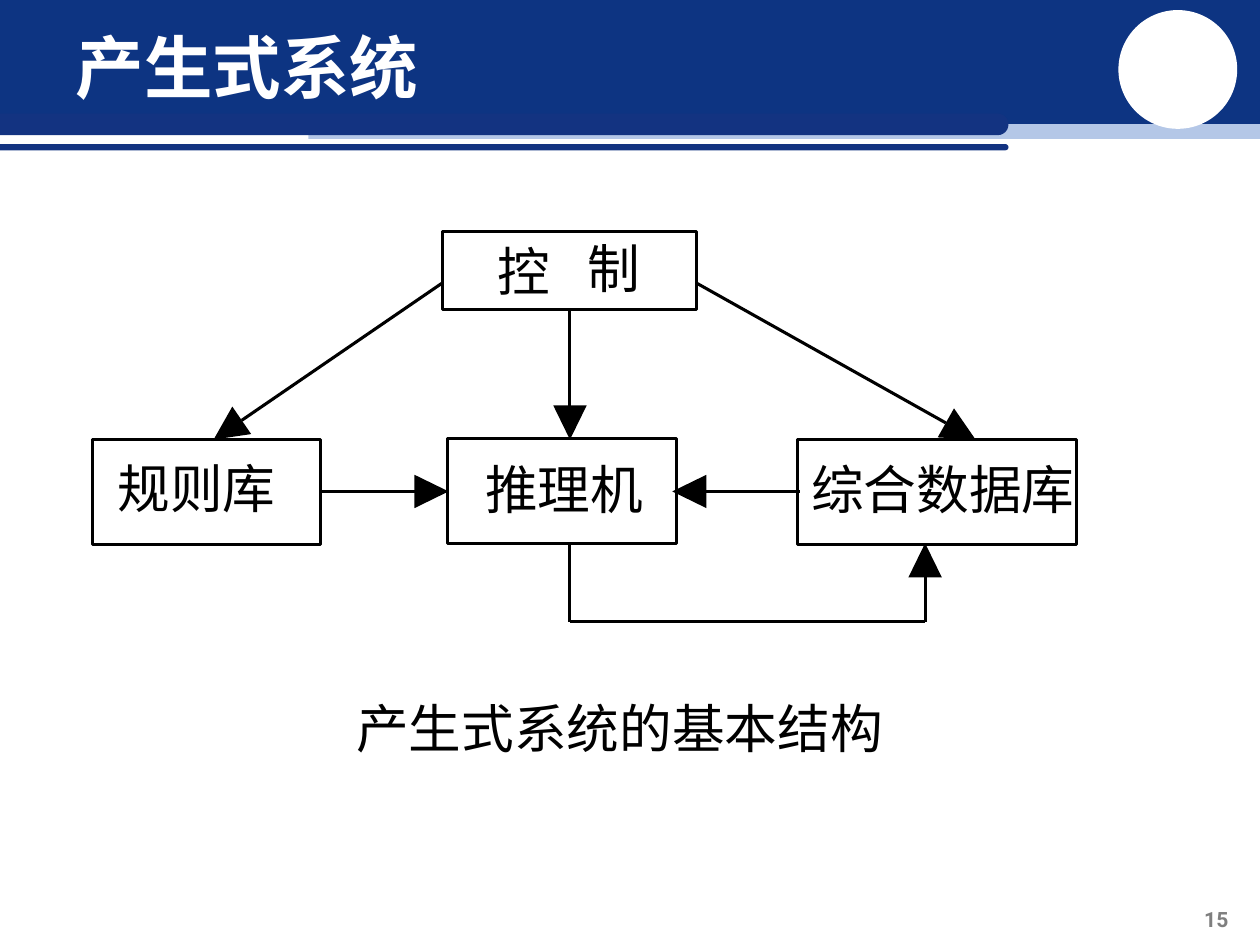
"""Builds the slide on the basic structure of a production system."""
from dataclasses import dataclass
from itertools import pairwise
from math import hypot

from lxml.etree import SubElement
from pptx import Presentation
from pptx.dml.color import RGBColor
from pptx.enum.shapes import MSO_CONNECTOR, MSO_SHAPE
from pptx.enum.text import MSO_ANCHOR, PP_ALIGN
from pptx.oxml.ns import qn
from pptx.util import Inches, Pt


@dataclass(frozen=True)
class Theme:
    navy: str = "0D3482"
    trim: str = "133381"
    pale: str = "B4C7E7"
    paper: str = "FFFFFF"
    ink: str = "000000"
    muted: str = "7F7F7F"
    title_size: int = 39
    label_size: int = 30
    number_size: int = 12
    stroke: float = 1.75
    han_font: str = "Noto Sans CJK SC"
    number_font: str = "Roboto"


def grid(*cells):
    """Turns columns and rows of a tenth of an inch into lengths."""
    return [Inches(cell / 10) for cell in cells]


class Board:
    """Draws in one theme on one slide, measured in grid cells."""

    def __init__(self, slide, theme):
        self.shapes = slide.shapes
        self.theme = theme

    def paint(self, shape, color):
        shape.shadow.inherit = False
        shape.fill.solid()
        shape.fill.fore_color.rgb = RGBColor.from_string(color)
        shape.line.fill.background()

    def block(self, kind, left, top, width, height, color):
        block = self.shapes.add_shape(kind, *grid(left, top, width, height))
        self.paint(block, color)
        return block

    def rounded_bar(self, top, length, thickness):
        left = (length - thickness) / 2
        bar = self.block(MSO_SHAPE.ROUND_2_SAME_RECTANGLE, left, top - left,
                         thickness, length, self.theme.trim)
        bar.adjustments[0] = 0.5
        bar.rotation = 90

    def frame(self, left, top, width, height):
        frame = self.shapes.add_shape(MSO_SHAPE.RECTANGLE,
                                      *grid(left, top, width, height))
        frame.shadow.inherit = False
        frame.fill.background()
        self.ink_line(frame.line)

    def ink_line(self, line):
        line.color.rgb = RGBColor.from_string(self.theme.ink)
        line.width = Pt(self.theme.stroke)

    def text(self, words, left, top, width, height, size=None, color=None,
             font=None, bold=False, align=PP_ALIGN.LEFT):
        box = self.shapes.add_textbox(*grid(left, top, width, height))
        body = box.text_frame
        body.margin_left = body.margin_right = 0
        body.margin_top = body.margin_bottom = 0
        body.word_wrap = False
        body.vertical_anchor = MSO_ANCHOR.MIDDLE
        line = body.paragraphs[0]
        line.text = words
        line.alignment = align
        style = line.font
        style.name = font or self.theme.han_font
        style.size = Pt(size or self.theme.label_size)
        style.bold = bold
        style.color.rgb = RGBColor.from_string(color or self.theme.ink)
        defaults = line._p.get_or_add_pPr().get_or_add_defRPr()
        SubElement(defaults, qn("a:ea")).set("typeface", style.name)

    def segment(self, start, end):
        segment = self.shapes.add_connector(MSO_CONNECTOR.STRAIGHT,
                                            *grid(*start, *end))
        self.ink_line(segment.line)
        SubElement(segment._element.spPr, qn("a:effectLst"))

    def arrow(self, *stops, length=2.7, half=1.32):
        (x0, y0), (x, y) = stops[-2:]
        reach = hypot(x - x0, y - y0)
        dx, dy = (x - x0) / reach, (y - y0) / reach
        base_x, base_y = x - length * dx, y - length * dy
        for start, end in pairwise([*stops[:-1], (base_x, base_y)]):
            self.segment(start, end)
        corners = [(base_x - side * dy, base_y + side * dx)
                   for side in (half, -half)]
        outline = self.shapes.build_freeform(*grid(x, y))
        outline.add_line_segments([grid(*corner) for corner in corners])
        self.paint(outline.convert_to_shape(), self.theme.ink)


def main():
    deck = Presentation()
    deck.slide_width, deck.slide_height = grid(99.7, 74.8)
    theme = Theme()
    board = Board(deck.slides.add_slide(deck.slide_layouts[6]), theme)

    board.block(MSO_SHAPE.RECTANGLE, 24.4, 9.8, 75.3, 1.2, theme.pale)
    board.block(MSO_SHAPE.RECTANGLE, 0, 0, 99.7, 9.8, theme.navy)
    board.block(MSO_SHAPE.OVAL, 88.5, 0.8, 9.4, 9.4, theme.paper)
    for top, thickness in ((9, 1.7), (11.4, 0.5)):
        board.rounded_bar(top, 79.8, thickness)
    board.text("15", 94.1, 71.4, 4.3, 2.7, theme.number_size, theme.muted,
               theme.number_font, True, PP_ALIGN.CENTER)
    board.text("产生式系统", 6, 2.2, 27.1, 6.1, theme.title_size,
               theme.paper, bold=True)

    for node in ((35, 18.3, 20.1, 6.2), (7.3, 34.8, 18.1, 8.3),
                 (35.4, 34.7, 18.1, 8.3), (63.1, 34.8, 22.1, 8.3)):
        board.frame(*node)
    for words, left, top in (("控", 39.4, 18.9), ("制", 46.5, 18.7),
                             ("规则库", 9.3, 36.1), ("推理机", 38.4, 36.2),
                             ("综合数据库", 64.2, 36.2),
                             ("产生式系统的基本结构", 28.2, 55.1)):
        board.text(words, left, top, 4.17 * len(words), 5)

    for route in (((45.1, 24.5), (45.1, 34.8)),
                  ((35, 22.4), (16.9, 34.8)),
                  ((55.1, 22.4), (77.2, 34.8)),
                  ((25.4, 38.9), (35.5, 38.9)),
                  ((63.3, 38.9), (53.2, 38.9)),
                  ((45.1, 43), (45.1, 49.2), (73.2, 49.2), (73.2, 43))):
        board.arrow(*route)

    deck.save("out.pptx")


if __name__ == "__main__":
    main()
